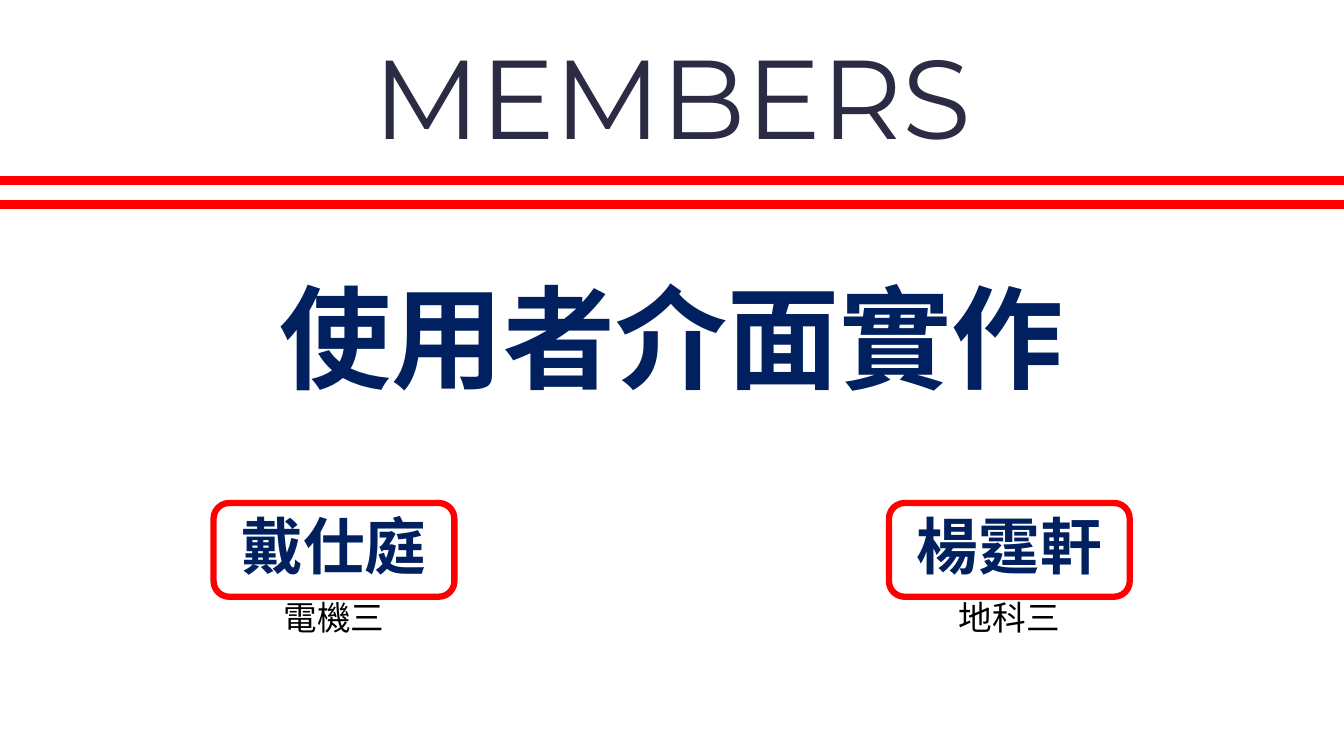
import pptx
import pptx.util
import pptx.dml.color
import pptx.enum.shapes
import pptx.enum.text
import pptx.oxml.ns
from lxml import etree

Pt = pptx.util.Pt
RED = pptx.dml.color.RGBColor(0xFF, 0x00, 0x00)
NAVY = pptx.dml.color.RGBColor(0x00, 0x20, 0x60)
INK = pptx.dml.color.RGBColor(0x2B, 0x2C, 0x43)
BLACK = pptx.dml.color.RGBColor(0x00, 0x00, 0x00)

LATIN_FONT = "Montserrat"
CJK_FONT = "Noto Sans CJK SC"
CJK_SPACING = 0.88
TOP = pptx.enum.text.MSO_ANCHOR.TOP
MIDDLE = pptx.enum.text.MSO_ANCHOR.MIDDLE

SLIDE_WIDTH, SLIDE_HEIGHT = 960, 540
CARD_WIDTH = 172
MEMBERS = [(152.6, "戴仕庭", "電機三"), (635, "楊霆軒", "地科三")]


def write(shape, text, size, color, font=CJK_FONT, bold=False, anchor=TOP):
    """Fill a shape with one centred line of text."""
    frame = shape.text_frame
    frame.word_wrap = True
    frame.auto_size = pptx.enum.text.MSO_AUTO_SIZE.NONE
    frame.vertical_anchor = anchor
    paragraph = frame.paragraphs[0]
    paragraph.alignment = pptx.enum.text.PP_ALIGN.CENTER
    paragraph.line_spacing = CJK_SPACING if font == CJK_FONT else 1.0
    run = paragraph.add_run()
    run.text = text
    run.font.name = font
    run.font.size = Pt(size)
    run.font.bold = bold
    run.font.color.rgb = color
    # East Asian glyphs take their font from a separate element
    east_asian = etree.Element(pptx.oxml.ns.qn("a:ea"), typeface=font)
    run.font._element.find(pptx.oxml.ns.qn("a:latin")).addnext(east_asian)


def add_label(shapes, left, top, width, height, text, size, color, bold=False):
    label = shapes.add_textbox(Pt(left), Pt(top), Pt(width), Pt(height))
    write(label, text, size, color, bold=bold)


def add_member(slide, left, name, department):
    """Group a framed name with the department below it."""
    card = slide.shapes.add_group_shape().shapes
    frame = card.add_shape(pptx.enum.shapes.MSO_SHAPE.ROUNDED_RECTANGLE,
                           Pt(left), Pt(359.3), Pt(CARD_WIDTH), Pt(67))
    frame.shadow.inherit = False
    frame.fill.background()
    frame.line.color.rgb = RED
    frame.line.width = Pt(4.5)
    write(frame, name, 44, NAVY, bold=True, anchor=MIDDLE)
    add_label(card, left, 426.3, CARD_WIDTH, 36, department, 24, BLACK)


def add_rule(slide, y):
    rule = slide.shapes.add_connector(pptx.enum.shapes.MSO_CONNECTOR.STRAIGHT,
                                      Pt(0), Pt(y), Pt(SLIDE_WIDTH), Pt(y))
    rule.line.color.rgb = RED
    rule.line.width = Pt(6)
    etree.SubElement(rule._element.spPr, pptx.oxml.ns.qn("a:effectLst"))


def main():
    deck = pptx.Presentation()
    deck.slide_width, deck.slide_height = Pt(SLIDE_WIDTH), Pt(SLIDE_HEIGHT)
    slide = deck.slides.add_slide(deck.slide_layouts[5])

    # Title
    title = slide.shapes.title
    title.left, title.top = Pt(239), Pt(15.8)
    title.width, title.height = Pt(482.4), Pt(104.4)
    write(title, "MEMBERS", 80, INK, font=LATIN_FONT)

    # Double rule under the title
    for y in (129, 146.2):
        add_rule(slide, y)

    # Team heading
    add_label(slide.shapes, 162.7, 200.9, 633.6, 104.4,
              "使用者介面實作", 80, NAVY, bold=True)

    # Team members
    for left, name, department in MEMBERS:
        add_member(slide, left, name, department)

    deck.save("out.pptx")


if __name__ == "__main__":
    main()
